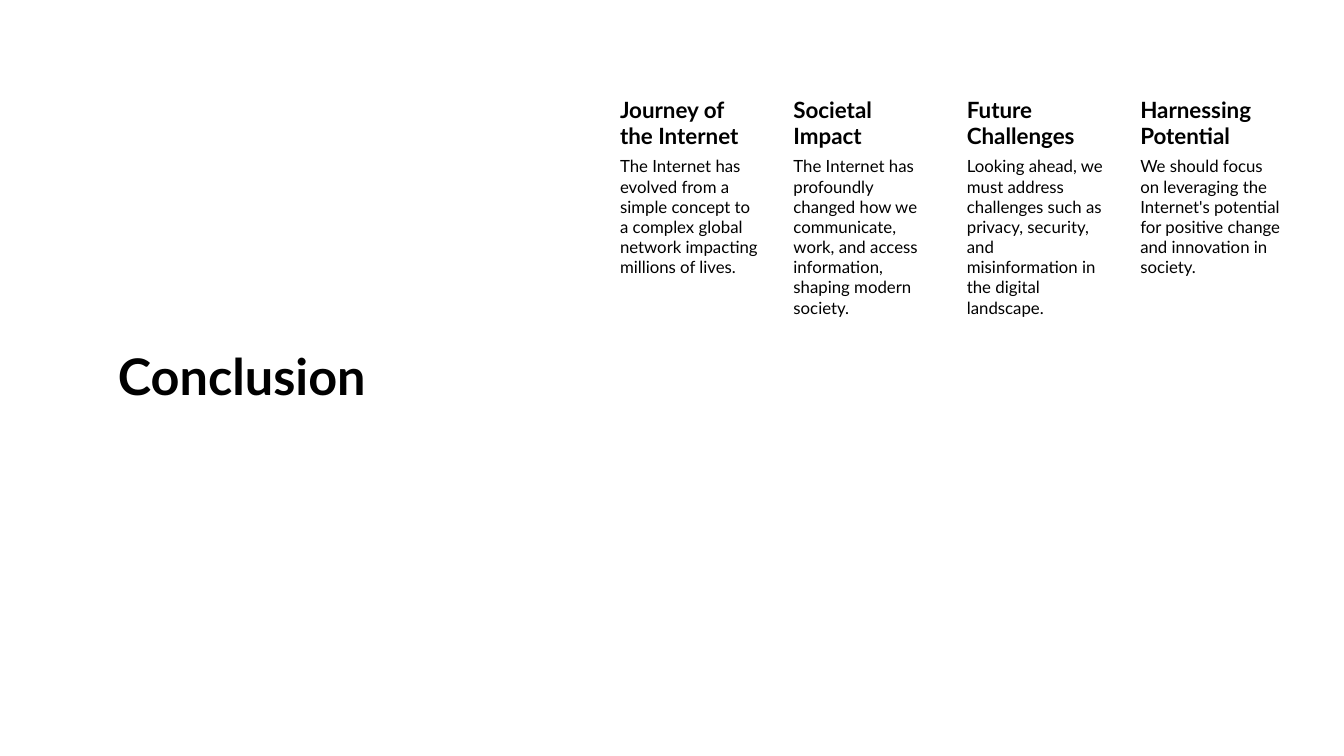
import pptx
import pptx.dml.color
import pptx.enum.text
import pptx.util
from pptx.util import Inches

BLACK = pptx.dml.color.RGBColor(0, 0, 0)
FONT = "Lato"
TOP = 0.93
FIRST_LEFT, COLUMN_STEP, COLUMN_WIDTH = 6, 1.72, 1.56
HEADING_HEIGHT, BODY_HEIGHT = 0.6, 5.04

TAKEAWAYS = [
    ("Journey of the Internet",
     "The Internet has evolved from a simple concept to a complex global "
     "network impacting millions of lives."),
    ("Societal Impact",
     "The Internet has profoundly changed how we communicate, work, and access "
     "information, shaping modern society."),
    ("Future Challenges",
     "Looking ahead, we must address challenges such as privacy, security, and "
     "misinformation in the digital landscape."),
    ("Harnessing Potential",
     "We should focus on leveraging the Internet's potential for positive "
     "change and innovation in society."),
]


def format_paragraph(paragraph, size, bold):
    paragraph.alignment = pptx.enum.text.PP_ALIGN.LEFT
    paragraph.font.name = FONT
    paragraph.font.size = pptx.util.Pt(size)
    paragraph.font.bold = bold
    paragraph.font.color.rgb = BLACK


def add_title(slide, text):
    title = slide.shapes.title
    title.left, title.top = Inches(1.07), Inches(TOP)
    title.width, title.height = Inches(3.94), Inches(5.66)
    frame = title.text_frame
    frame.text = text
    frame.word_wrap = True
    frame.auto_size = pptx.enum.text.MSO_AUTO_SIZE.NONE
    frame.vertical_anchor = pptx.enum.text.MSO_ANCHOR.MIDDLE
    frame.paragraphs[0].line_spacing = 0.9
    format_paragraph(frame.paragraphs[0], 36, True)


def add_text(shapes, text, left, top, height, size, bold=False):
    box = shapes.add_textbox(Inches(left), Inches(top),
                             Inches(COLUMN_WIDTH), Inches(height))
    frame = box.text_frame
    frame.word_wrap = True
    frame.margin_left = Inches(0.15)
    frame.margin_top = frame.margin_right = frame.margin_bottom = Inches(0.02)
    frame.text = text
    format_paragraph(frame.paragraphs[0], size, bold)


def add_takeaways(slide):
    columns = slide.shapes.add_group_shape().shapes
    for index, (heading, body) in enumerate(TAKEAWAYS):
        left = FIRST_LEFT + index * COLUMN_STEP
        add_text(columns, heading, left, TOP, HEADING_HEIGHT, 16, bold=True)
        add_text(columns, body, left, TOP + HEADING_HEIGHT, BODY_HEIGHT, 12)


def main():
    presentation = pptx.Presentation()
    presentation.slide_width = Inches(13.33)
    presentation.slide_height = Inches(7.5)
    # Title Only layout
    slide = presentation.slides.add_slide(presentation.slide_layouts[5])

    # Title on the left, four takeaway columns on the right
    add_title(slide, "Conclusion")
    add_takeaways(slide)

    presentation.save("out.pptx")


if __name__ == "__main__":
    main()
